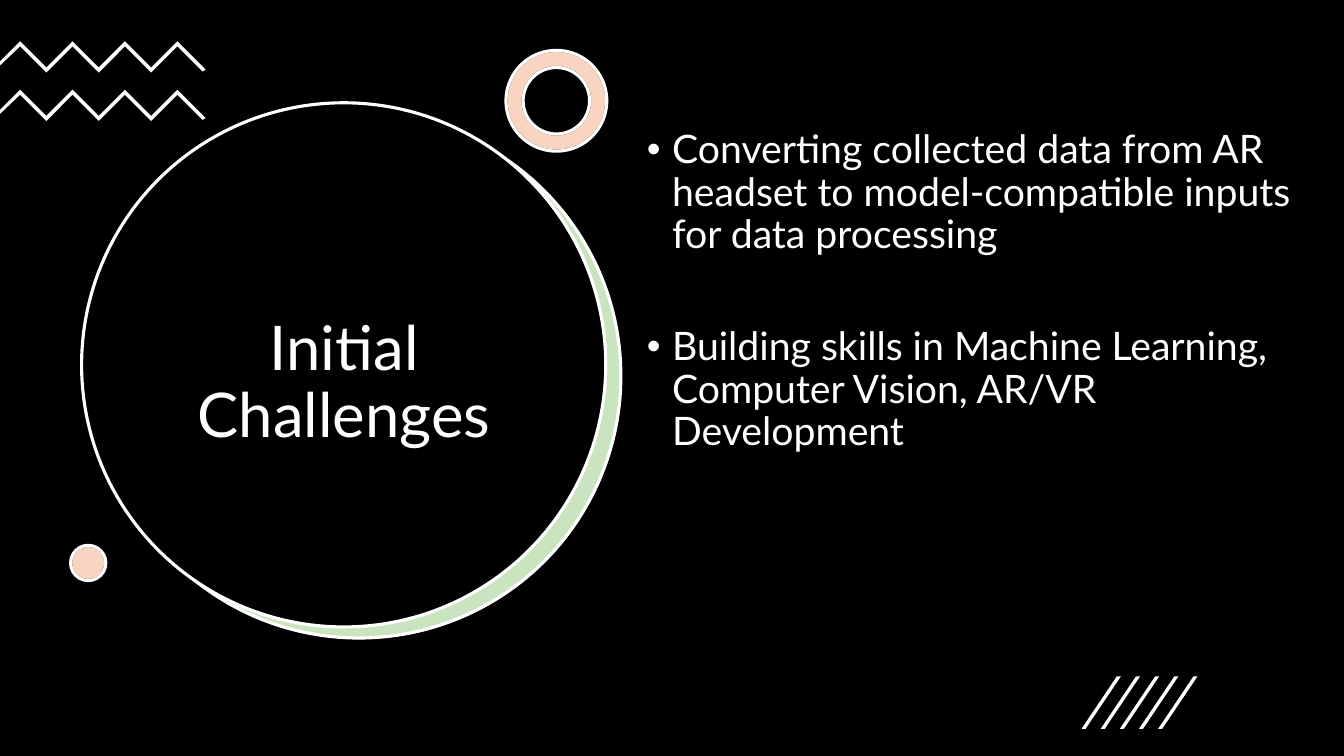
from lxml import etree
from pptx import Presentation
from pptx.dml.color import RGBColor
from pptx.enum.shapes import MSO_SHAPE
from pptx.enum.text import MSO_ANCHOR, MSO_AUTO_SIZE, PP_ALIGN
from pptx.oxml.ns import qn
from pptx.util import Emu, Pt

PX = 9144  # EMU per px, 100 px to the inch
OVAL, DONUT = MSO_SHAPE.OVAL, MSO_SHAPE.DONUT
WHITE, BLACK, GREEN, ORANGE = "FFFFFF", "000000", "4EA72E", "E97132"
FONT = "Lato"


def rgb(code):
    return RGBColor.from_string(code)


def paint(sp, fill, line=None, opacity=100):
    """Set fill, outline and opacity in percent, and drop the shadow."""
    sp.shadow.inherit = False
    sp.fill.solid()
    sp.fill.fore_color.rgb = rgb(fill)
    if opacity < 100:
        color = sp.fill._xPr.find(".//" + qn("a:srgbClr"))
        etree.SubElement(color, qn("a:alpha"), val=str(opacity * 1000))
    if line:
        sp.line.color.rgb = rgb(line)
        sp.line.width = Pt(2.25)
    else:
        sp.line.fill.background()


prs = Presentation()
prs.slide_width, prs.slide_height = Emu(12192000), Emu(750 * PX)
s = prs.slides.add_slide(prs.slide_layouts[5])
s.background.fill.solid()
s.background.fill.fore_color.rgb = rgb(BLACK)

# Circles and ring: a tinted shape lies on a white one
rounds = [
    (OVAL, 97, 114, 520, WHITE, None, 100),
    (OVAL, 96, 113, 520, GREEN, WHITE, 30),
    (OVAL, 81, 102, 520, BLACK, WHITE, 100),
]
for kind, x, y, size in [(DONUT, 502, 50, 100), (OVAL, 70, 541, 35)]:
    rounds.append((kind, x, y, size, WHITE, BLACK, 100))
    rounds.append((kind, x, y, size, ORANGE, WHITE, 30))
for kind, x, y, size, fill, line, opacity in rounds:
    sp = s.shapes.add_shape(kind, x * PX, y * PX, size * PX, size * PX)
    if kind == DONUT:
        sp.adjustments[0] = 0.17
    paint(sp, fill, line, opacity)

# Zigzag bands and slanted strokes
ridge = [(20 + 26 * i, 41 + 26 * (i % 2)) for i in range(7)]
band = [(0, 61)] + ridge + [(204, 69), (201, 71)]
band += [(x, y + 5) for x, y in reversed(ridge)] + [(0, 65)]
outlines = [[(x, y + dy) for x, y in band] for dy in (0, 48)]
stroke = [(1077, 723), (1073, 723), (1108, 671), (1112, 671)]
outlines += [[(x + 19 * i, y) for x, y in stroke] for i in range(5)]
for points in outlines:
    fb = s.shapes.build_freeform(*points[0], scale=PX)
    fb.add_line_segments(points[1:], close=True)
    paint(fb.convert_to_shape(), WHITE)

# Title, brought in front of the circles
title = s.shapes.title
title.left, title.top, title.width, title.height = (
    v * PX for v in (121, 205, 441, 352))
title._element.getparent().append(title._element)
tf = title.text_frame
tf.word_wrap = True
tf.auto_size = MSO_AUTO_SIZE.NONE
tf.vertical_anchor = MSO_ANCHOR.MIDDLE
p = tf.paragraphs[0]
p.alignment = PP_ALIGN.CENTER
p.line_spacing = 0.9
r = p.add_run()
r.text = "Initial Challenges"
r.font.name, r.font.size = FONT, Pt(44)
r.font.color.rgb = rgb(WHITE)

# Bulleted challenges
challenges = [
    "Converting collected data from AR headset to model-compatible inputs "
    "for data processing",
    "Building skills in Machine Learning, Computer Vision, AR/VR Development",
]
tf = s.shapes.add_textbox(632 * PX, 124 * PX, 680 * PX, 476 * PX).text_frame
tf.word_wrap = True
for i, text in enumerate(challenges):
    p = tf.add_paragraph() if i else tf.paragraphs[0]
    p.line_spacing = 0.9
    p.space_before = Pt(50 * i)
    pPr = p._p.get_or_add_pPr()
    pPr.set("marL", str(25 * PX))
    pPr.set("indent", str(-25 * PX))
    etree.SubElement(pPr, qn("a:buFont"), typeface="Arial")
    etree.SubElement(pPr, qn("a:buChar"), char="•")
    r = p.add_run()
    r.text = text
    r.font.name, r.font.size = FONT, Pt(28)
    r.font.color.rgb = rgb(WHITE)

prs.save("out.pptx")
